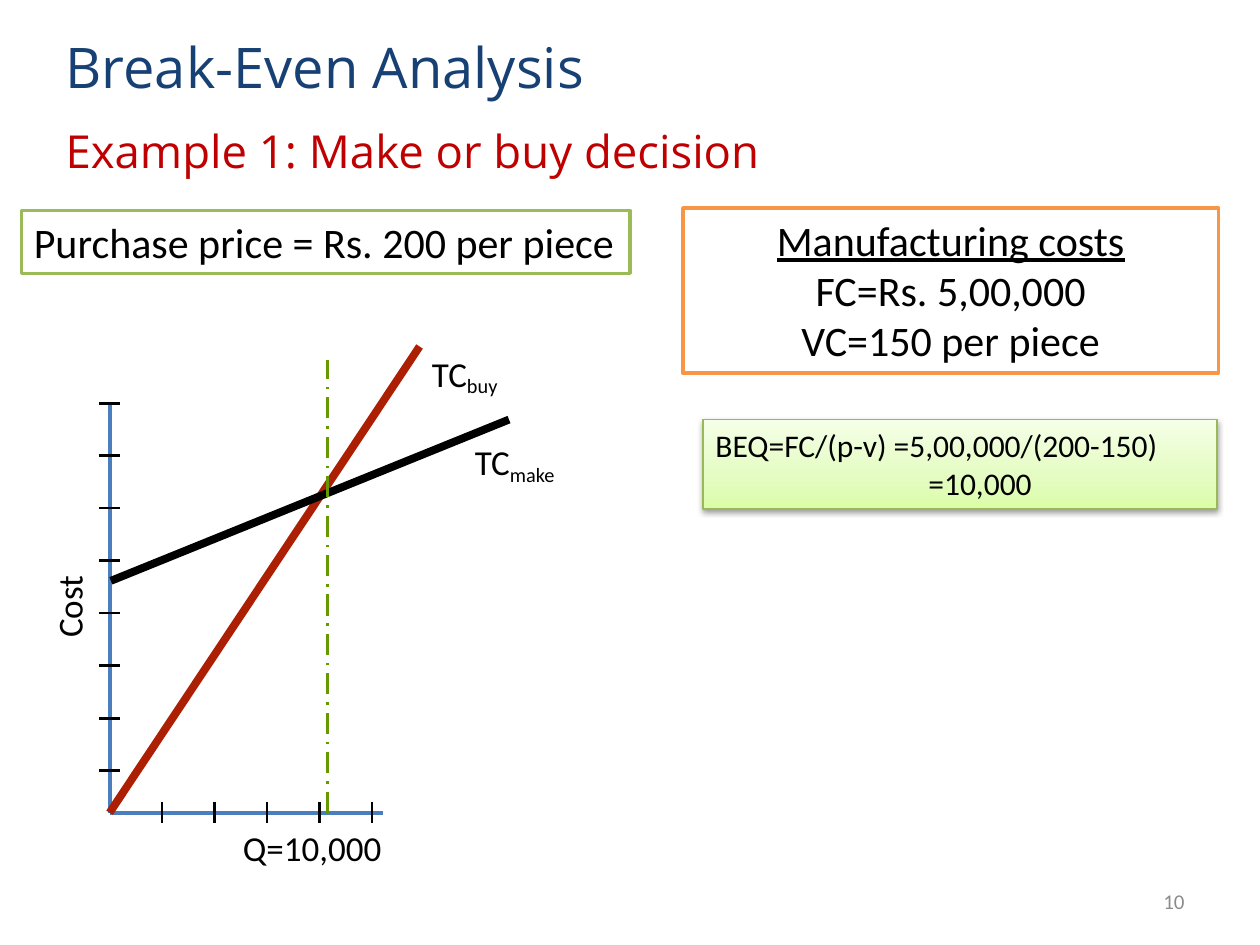
"""Build the break-even analysis slide."""
from copy import deepcopy

from lxml import etree
from pptx import Presentation
from pptx import util as u
from pptx.dml.color import RGBColor
from pptx.enum import dml, shapes, text
from pptx.oxml import parse_xml
from pptx.oxml.ns import nsdecls, qn

LEFT, MID, RIGHT = text.PP_ALIGN.LEFT, text.PP_ALIGN.CENTER, text.PP_ALIGN.RIGHT
TOP, HALF = text.MSO_ANCHOR.TOP, text.MSO_ANCHOR.MIDDLE
WIDE, HIGH = 10, 7.5
ZERO_X, ZERO_Y = 0.87, 6.45
STEP, TICK = 5 / 12, 0.085
AXIS_TOP, AXIS_END, BREAK_X = 3.2, 3.04, 2.6

TITLE = [("Break-Even Analysis", 32, "174174"),
         ("Example 1: Make or buy decision", 26, "C00000")]
CARDS = [
    ((0.17, 1.67, 4.83, 0.5), "9BBB59", LEFT, ["Purchase price = Rs. 200 per piece"]),
    ((5.42, 1.65, 4.25, 1.31), "F79646", MID,
     ["Manufacturing costs", "FC=Rs. 5,00,000", "VC=150 per piece"]),
]
RESULT = ["BEQ=FC/(p-v) =5,00,000/(200-150)", "=10,000"]
SHADES = [(0, "DAFDA7"), (0.35, "E4FCC2"), (1, "F5FFE7")]
CURVES = [((ZERO_X, ZERO_Y), (3.33, 2.75), "AD1F03"),
          ((0.88, 4.61), (4.04, 3.33), "000000")]
NAMES = [((3.33, 2.75, 0.83, 0.44), "buy"), ((3.67, 3.45, 1, 0.44), "make")]


def tint(code):
    """Turn a hex string into a colour."""
    return RGBColor.from_string(code)


def write(shape, lines, size, code="000000", align=LEFT, anchor=TOP, face="Calibri"):
    """Fill a shape with evenly formatted lines."""
    frame = shape.text_frame
    frame.word_wrap = True
    frame.vertical_anchor = anchor
    frame.text = "\n".join(lines)
    for para in frame.paragraphs:
        para.alignment = align
        for run in para.runs:
            style(run, size, code, face)
    return frame


def style(run, size, code, face="Calibri"):
    """Set the font of a run."""
    run.font.size, run.font.name = u.Pt(size), face
    run.font.color.rgb = tint(code)


def label(box, lines, size=20, **look):
    """Add a text box."""
    return write(slide.shapes.add_textbox(*map(u.Inches, box)), lines, size, **look)


def card(box, edge, width):
    """Add an outlined rectangle."""
    shape = slide.shapes.add_shape(shapes.MSO_SHAPE.RECTANGLE, *map(u.Inches, box))
    shape.shadow.inherit = False
    shape.fill.solid()
    shape.fill.fore_color.rgb = tint("FFFFFF")
    shape.line.color.rgb = tint(edge)
    shape.line.width = u.Pt(width)
    return shape


def rule(start, end, code="000000", width=1.5):
    """Add a straight line."""
    line = slide.shapes.add_connector(
        shapes.MSO_CONNECTOR.STRAIGHT, *map(u.Inches, (*start, *end)))
    line.line.color.rgb = tint(code)
    line.line.width = u.Pt(width)
    etree.SubElement(line._element.spPr, qn("a:effectLst"))
    return line


deck = Presentation()
deck.slide_width, deck.slide_height = u.Inches(WIDE), u.Inches(HIGH)
slide = deck.slides.add_slide(deck.slide_layouts[5])

head = slide.shapes.title
head.left, head.top, head.width, head.height = map(u.Inches, (0.42, 0.17, 9.42, 1.33))
frame = write(head, [row[0] for row in TITLE], 32, anchor=HALF, face="Open Sans")
for para, (_, size, code) in zip(frame.paragraphs, TITLE):
    style(para.runs[0], size, code, "Open Sans")
frame.paragraphs[1].space_before = u.Pt(13.6)

for box, edge, align, lines in CARDS:
    frame = write(card(box, edge, 2), lines, 24, align=align)
frame.paragraphs[0].runs[0].font.underline = True

for end in ((ZERO_X, AXIS_TOP), (AXIS_END, ZERO_Y)):
    rule((ZERO_X, ZERO_Y), end, "4B7EBC", 2.25)
for i in range(5):
    x = ZERO_X + STEP * (i + 1)
    rule((x, ZERO_Y - TICK), (x, ZERO_Y + TICK))
for i in range(8):
    y = AXIS_TOP + STEP * i
    rule((ZERO_X - TICK, y), (ZERO_X + TICK, y))
for start, end, code in CURVES:
    rule(start, end, code, 4.5)
mark = rule((BREAK_X, ZERO_Y), (BREAK_X, 2.86), "669900")
mark.line.dash_style = dml.MSO_LINE.LONG_DASH_DOT

for box, name in NAMES:
    sub = label(box, ["TC"]).paragraphs[0].add_run()
    sub.text = name
    style(sub, 20, "000000")
    sub._r.get_or_add_rPr().set("baseline", "-18000")
cost = label((0.33, 4.14, 0.54, 1.35), ["Cost"], align=MID)
cost._txBody.bodyPr.set("vert", "vert270")
label((1.83, 6.51, 2.33, 0.44), ["Q=10,000"])

answer = card((5.58, 3.33, 4.08, 0.71), "98B955", 0.75)
answer.fill.gradient()
answer.fill.gradient_angle = 90
stops = answer._element.spPr.find(".//" + qn("a:gsLst"))
stops.insert(1, deepcopy(stops[0]))
for stop, (place, code) in zip(answer.fill.gradient_stops, SHADES):
    stop.position = place
    stop.color.rgb = tint(code)
glow = answer._element.spPr.find(qn("a:effectLst"))
glow.append(parse_xml(
    f'<a:outerShdw {nsdecls("a")} blurRad="40000" dist="20000" dir="5400000" '
    'rotWithShape="0"><a:srgbClr val="000000"><a:alpha val="38000"/>'
    '</a:srgbClr></a:outerShdw>'))
frame = write(answer, RESULT, 18)
frame.paragraphs[1]._p.get_or_add_pPr().set("marL", str(u.Inches(1.69)))

label((7.17, 6.95, 2.33, 0.4), ["10"], 12, code="8C8C8C", align=RIGHT, anchor=HALF)
deck.save("out.pptx")
